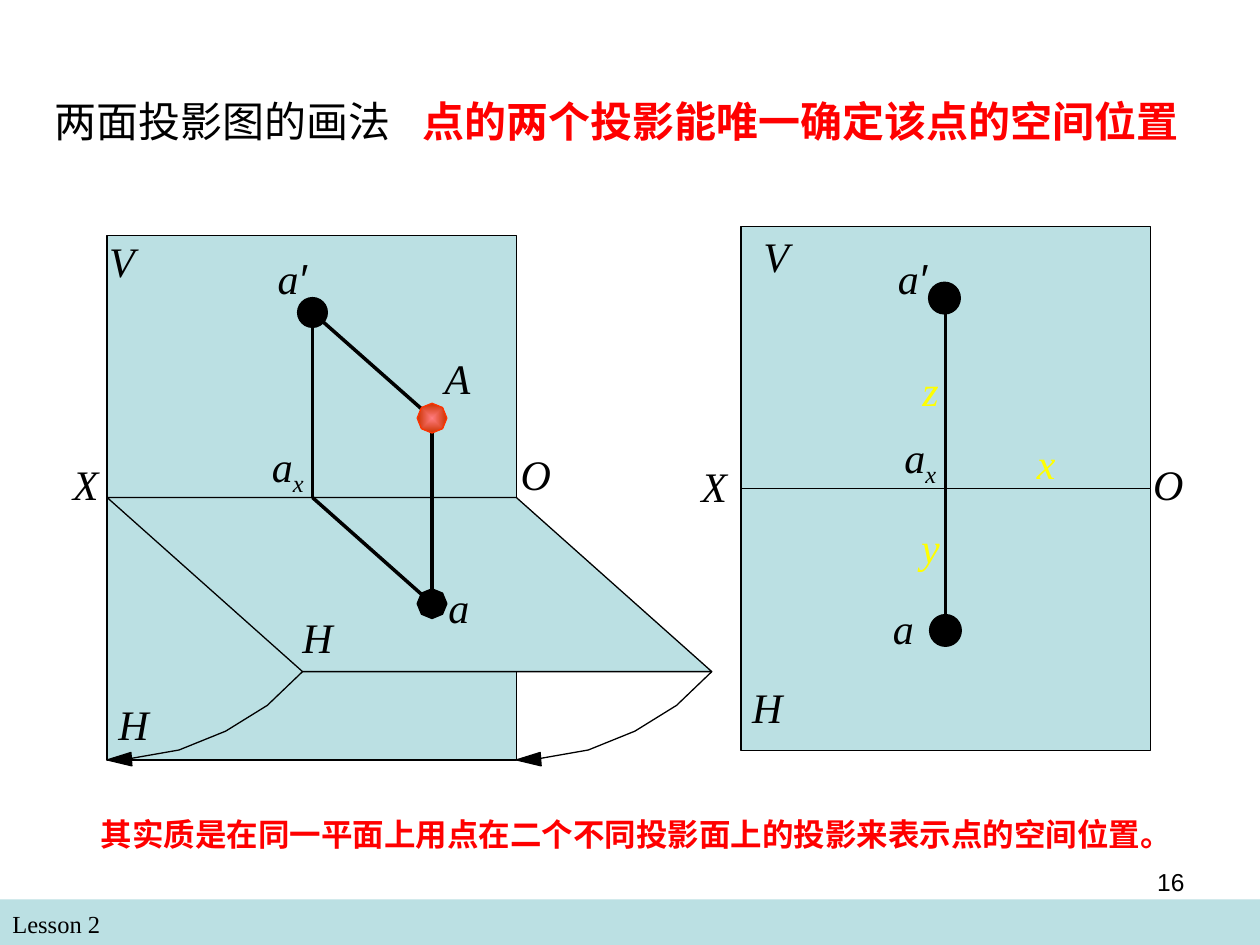
from math import cos, pi, sin

from lxml import etree
from pptx import Presentation
from pptx.dml.color import RGBColor
from pptx.enum.shapes import MSO_CONNECTOR, MSO_SHAPE
from pptx.enum.text import MSO_ANCHOR, MSO_AUTO_SIZE, PP_ALIGN
from pptx.oxml.ns import qn
from pptx.util import Cm, Pt

RECTANGLE, OVAL = MSO_SHAPE.RECTANGLE, MSO_SHAPE.OVAL
STRAIGHT = MSO_CONNECTOR.STRAIGHT
TOP, MIDDLE = MSO_ANCHOR.TOP, MSO_ANCHOR.MIDDLE
LEFT, CENTER, RIGHT = PP_ALIGN.LEFT, PP_ALIGN.CENTER, PP_ALIGN.RIGHT
NO_FIT = MSO_AUTO_SIZE.NONE

PLANE, BLACK, RED, YELLOW = "BBE0E3", "000000", "FF0000", "FFFF00"
SERIF, SANS, CHINESE = "Times New Roman", "Arial", "Noto Sans CJK SC"
HAIRLINE = 0


def color(value):
    return RGBColor.from_string(value)


class SlideBuilder:
    """Holds the drawing style and the current slide."""

    def __init__(self, slide):
        self.slide = slide
        self.shapes = slide.shapes

    def style(self, shape, fill=None, line=BLACK, weight=HAIRLINE):
        shape.shadow.inherit = False
        if fill:
            shape.fill.solid()
            shape.fill.fore_color.rgb = color(fill)
        else:
            shape.fill.background()
        if line:
            shape.line.color.rgb = color(line)
            shape.line.width = Pt(weight)
        else:
            shape.line.fill.background()
        return shape

    def preset(self, kind, left, top, width, height, fill, **border):
        shape = self.shapes.add_shape(kind, Cm(left), Cm(top), Cm(width), Cm(height))
        return self.style(shape, fill, **border)

    def dot(self, x, y, radius, weight=HAIRLINE):
        return self.preset(OVAL, x - radius, y - radius, 2 * radius, 2 * radius,
                           BLACK, weight=weight)

    def outline(self, points, fill=None, close=True, line=BLACK):
        points = [(Cm(x), Cm(y)) for x, y in points]
        builder = self.shapes.build_freeform(*points[0])
        builder.add_line_segments(points[1:], close=close)
        return self.style(builder.convert_to_shape(), fill, line)

    def octagon(self, x, y, radius, fill=BLACK, line=BLACK):
        corners = [(x + radius * cos(k * pi / 4), y + radius * sin(k * pi / 4))
                   for k in range(8)]
        return self.outline(corners, fill, line=line)

    def radial_fill(self, shape, inner, outer):
        shape.fill.gradient()
        for stop, value in zip(shape.fill.gradient_stops, (inner, outer)):
            stop.color.rgb = color(value)
        gradient = shape.element.spPr.find(qn("a:gradFill"))
        gradient.remove(gradient.find(qn("a:lin")))
        center = etree.SubElement(gradient, qn("a:path"), {"path": "rect"})
        etree.SubElement(center, qn("a:fillToRect"), dict.fromkeys("ltrb", "50000"))

    def line(self, start, end, weight=HAIRLINE):
        connector = self.shapes.add_connector(STRAIGHT, *map(Cm, start + end))
        connector.line.color.rgb = color(BLACK)
        connector.line.width = Pt(weight)
        etree.SubElement(connector.element.spPr, qn("a:effectLst"))

    def format_text(self, shape, text, size, font, ink, bold=False,
                    align=LEFT, anchor=TOP, wrap=True):
        frame = shape.text_frame
        frame.word_wrap = wrap
        frame.auto_size = NO_FIT
        frame.vertical_anchor = anchor
        paragraph = frame.paragraphs[0]
        paragraph.alignment = align
        paragraph.add_run().text = text
        paragraph.font.size = Pt(size)
        paragraph.font.name = font
        paragraph.font.bold = bold
        paragraph.font.color.rgb = color(ink)
        # The Chinese typeface goes next to the Latin one
        for properties in shape.element.iter(qn("a:defRPr")):
            latin = properties.find(qn("a:latin"))
            latin.addnext(etree.Element(qn("a:ea"), {"typeface": CHINESE}))
        return paragraph

    def title(self, text, left, top, width, height):
        shape = self.shapes.title
        shape.left, shape.top, shape.width, shape.height = map(
            Cm, (left, top, width, height))
        self.format_text(shape, text, 24, CHINESE, BLACK, anchor=MIDDLE)

    def text(self, text, left, top, width, height, size, font, ink=BLACK, **options):
        shape = self.shapes.add_textbox(Cm(left), Cm(top), Cm(width), Cm(height))
        return self.format_text(shape, text, size, font, ink, **options)

    def label(self, name, x, y, ink=BLACK):
        """Centre an italic letter on a point; a prime or index may follow it."""
        letter, mark = name[0], name[1:]
        paragraph = self.text(letter, x - 0.6, y - 0.65, 1.2, 1.3, 24, SERIF, ink,
                              align=CENTER, anchor=MIDDLE, wrap=False)
        paragraph.font.italic = True
        if mark:
            run = paragraph.add_run()
            run.text = mark
            if mark == "′":
                run.font.name = SANS
            else:
                run._r.get_or_add_rPr().set("baseline", "-25000")


def draw_space_view(builder):
    left, right, top, axis, bottom = 2.16, 10.41, 4.75, 10.03, 15.32
    shift, front = 3.94, 13.54

    # Horizontal plane after turning down, with the turning arcs
    builder.preset(RECTANGLE, left, axis, right - left, bottom - axis, PLANE)
    arc = [(0.48, -0.03), (1.45, -0.2), (2.39, -0.58), (3.23, -1.1), (shift, -1.78)]
    arrowhead = [(0, 0), (0.5, 0.12), (0.48, -0.15)]
    for x in (left, right):
        builder.outline([(x + dx, bottom + dy) for dx, dy in arc], close=False)
        builder.outline([(x + dx, bottom + dy) for dx, dy in arrowhead], BLACK)

    # Vertical plane and horizontal plane in space
    builder.preset(RECTANGLE, left, top, right - left, axis - top, PLANE)
    builder.outline([(left, axis), (left + shift, front),
                     (right + shift, front), (right, axis)], PLANE)

    # Point A, its projections and the projecting lines
    front_point, foot = (6.3, 6.3), (6.3, axis)
    space_point, plan_point = (8.71, 8.43), (8.71, 12.17)
    for start, end in ((foot, plan_point), (plan_point, space_point),
                       (foot, front_point), (front_point, space_point)):
        builder.line(start, end)
    builder.dot(*front_point, 0.3)
    ball = builder.octagon(*space_point, 0.3, line="FF3300")
    builder.radial_fill(ball, "FF7C80", "CC3300")
    builder.octagon(*plan_point, 0.3)

    for name, x, y in (("H", 2.69, 14.58), ("H", 6.4, 12.83), ("V", 2.46, 5.26),
                       ("O", 10.8, 9.55), ("X", 1.73, 9.75), ("a′", 5.89, 5.59),
                       ("a", 9.25, 12.24), ("A", 9.22, 7.62), ("ax", 5.8, 9.45)):
        builder.label(name, x, y)


def draw_flat_view(builder):
    # Both planes in one sheet
    left, top, width, height = 14.94, 4.57, 8.26, 5.28
    for row in (1, 0):
        builder.preset(RECTANGLE, left, top + row * height, width, height,
                       PLANE, weight=0.75)

    # Two projections and the line that joins them
    builder.dot(19.04, 6.01, 0.32, 0.75)
    builder.dot(19.06, 12.71, 0.32, 0.75)
    builder.line((19.06, 6.01), (19.06, 12.71), 1.5)

    for name, x, y in (("X", 14.4, 9.8), ("H", 15.47, 14.25), ("V", 15.65, 5.16),
                       ("O", 23.55, 9.75), ("a′", 18.39, 5.59), ("a", 18.21, 12.65),
                       ("ax", 18.55, 9.27)):
        builder.label(name, x, y)
    for name, x, y in (("x", 21.09, 9.32), ("z", 18.76, 7.85), ("y", 18.76, 11.02)):
        builder.label(name, x, y, YELLOW)


def main():
    presentation = Presentation()
    presentation.slide_width, presentation.slide_height = Cm(25.4), Cm(19.05)
    slide = presentation.slides.add_slide(presentation.slide_layouts[5])
    builder = SlideBuilder(slide)

    # Footer band
    builder.preset(RECTANGLE, 0, 18.13, 25.4, 0.92, PLANE, line=None)
    builder.text("Lesson 2", 0, 18.21, 12.27, 0.85, 14, SERIF)

    # Heading
    builder.title("两面投影图的画法", 0.85, 0.85, 7.4, 3.17)

    draw_space_view(builder)
    draw_flat_view(builder)

    # Statements and page number
    builder.text("其实质是在同一平面上用点在二个不同投影面上的投影来表示点的空间位置。",
                 1.78, 16.31, 22.1, 1.02, 18, SANS, RED, bold=True, wrap=False)
    builder.text("点的两个投影能唯一确定该点的空间位置",
                 8.26, 0.85, 16.7, 3.17, 24, SANS, RED, bold=True, anchor=MIDDLE)
    builder.text("16", 18.2, 17.35, 5.93, 1.32, 14, SANS, align=RIGHT)

    presentation.save("out.pptx")


if __name__ == "__main__":
    main()
